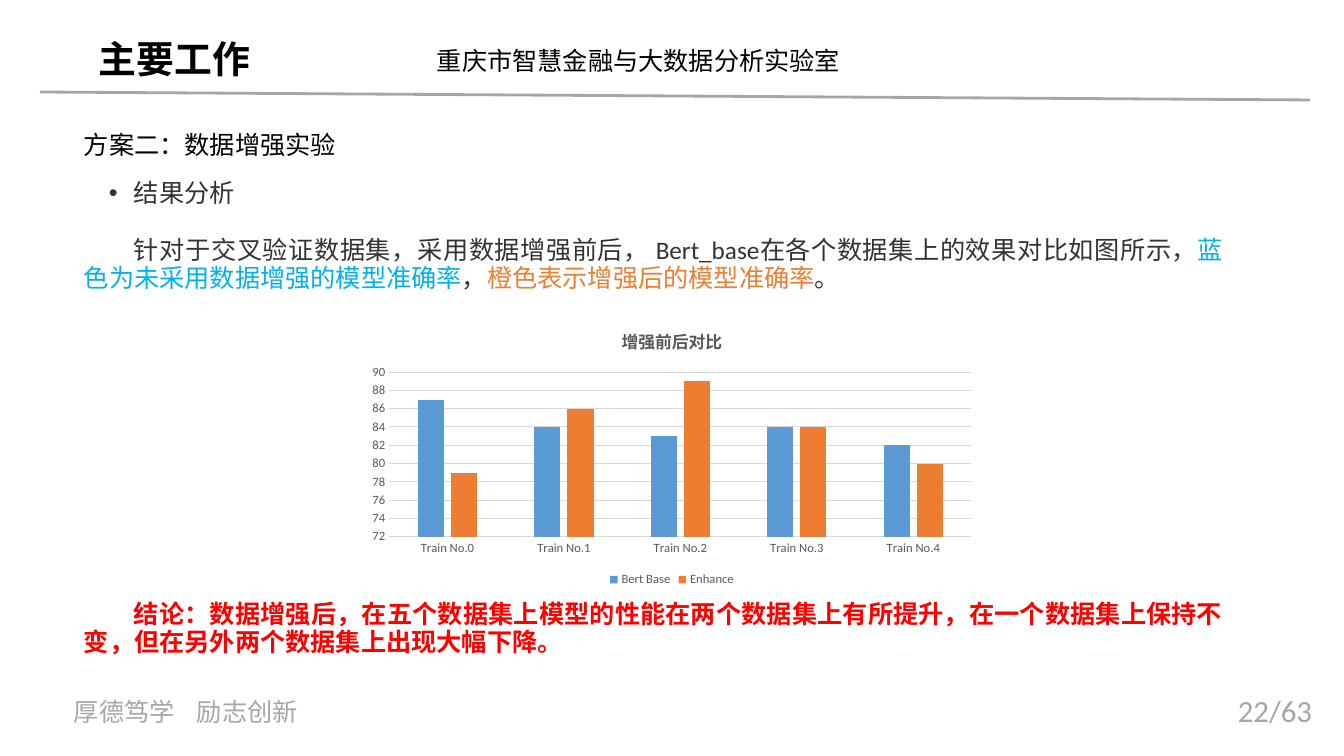
import pptx
import pptx.chart.data
import pptx.dml.color
import pptx.enum.chart
import pptx.enum.shapes
import pptx.enum.text
import pptx.oxml
import pptx.oxml.ns
import pptx.util

EMU_PER_PX = 914400 / 100.8
LATIN, CJK = "Calibri", "Noto Sans CJK SC"
BLACK, DARK, GREY, LABEL, RULE = "000000", "333333", "A6A6A6", "595959", "D9D9D9"
SKY, BLUE, ORANGE, RED = "00B0F0", "5B9BD5", "ED7D31", "FF0000"


def px(length):
    return pptx.util.Emu(round(length * EMU_PER_PX))


def color(value):
    return pptx.dml.color.RGBColor.from_string(value)


def set_font(font, size, value, name=LATIN, bold=False):
    font.size, font.name, font.bold = pptx.util.Pt(size), name, bold
    font.color.rgb = color(value)


def add_xml(parent, tag, content="", attributes=""):
    namespace = pptx.oxml.ns.nsdecls("a")
    parent.append(pptx.oxml.parse_xml(f"<a:{tag} {namespace} {attributes}>{content}</a:{tag}>"))


def add_box(page, left, top, width, height, wrap=True):
    frame = page.shapes.add_textbox(px(left), px(top), px(width), px(height)).text_frame
    frame.word_wrap = wrap
    return frame


def add_label(page, area, text, size, value, name=LATIN, bold=False, wrap=True):
    para = add_box(page, *area, wrap=wrap).paragraphs[0]
    para.text = text
    set_font(para.font, size, value, name, bold)
    return para


def add_header(page, left, top, width, height):
    add_label(page, (left + 49, top, 173, 56), "主要工作", 27, BLACK, CJK, True, wrap=False)
    add_label(page, (left + 387, top + 9, 432, 40), "重庆市智慧金融与大数据分析实验室", 18, BLACK)
    rule = page.shapes.add_connector(
        pptx.enum.shapes.MSO_CONNECTOR.STRAIGHT,
        px(left), px(top + height - 8), px(left + width), px(top + height))
    rule.line.color.rgb = color(GREY)
    rule.line.width = pptx.util.Pt(2)
    add_xml(rule._element.spPr, "effectLst")


def add_body(page, left, top, width, height):
    frame = add_box(page, left, top, width, height)

    def add_para(spans, before, spacing, margin, indent, name=LATIN, bold=False):
        first = not frame.paragraphs[0].runs
        para = frame.paragraphs[0] if first else frame.add_paragraph()
        para.alignment = pptx.enum.text.PP_ALIGN.JUSTIFY
        para.space_before = pptx.util.Pt(before)
        para.line_spacing = spacing
        properties = para._p.get_or_add_pPr()
        properties.set("marL", str(px(margin)))
        properties.set("indent", str(px(indent)))
        para.font.size, para.font.name = pptx.util.Pt(18), name
        para.font.bold = bold
        for text, value in spans:
            span = para.add_run()
            span.text = text
            span.font.color.rgb = color(value)
        return para

    fixed = pptx.util.Pt(20)
    add_para([("方案二：数据增强实验", BLACK)], 0, 0.9, 0, 0)
    # Bulleted subheading
    bullet = add_para([("结果分析", DARK)], 15, 0.9, 50, -25, CJK)
    properties = bullet._p.get_or_add_pPr()
    bullet_font = pptx.oxml.parse_xml(
        f'<a:buFont {pptx.oxml.ns.nsdecls("a")} typeface="Arial"/>')
    bullet_char = pptx.oxml.parse_xml(
        f'<a:buChar {pptx.oxml.ns.nsdecls("a")} char="•"/>')
    properties.find(pptx.oxml.ns.qn("a:defRPr")).addprevious(bullet_font)
    bullet_font.addnext(bullet_char)
    # Explanation, then the conclusion below the chart
    add_para([("针对于交叉验证数据集，采用数据增强前后， Bert_base在各个数据集上的效果对比如图所示，", DARK),
              ("蓝色为未采用数据增强的模型准确率", SKY), ("，", DARK),
              ("橙色表示增强后的模型准确率", ORANGE), ("。", DARK)], 20, fixed, 0, 50)
    add_para([("结论：数据增强后，在五个数据集上模型的性能在两个数据集上有所提升，"
               "在一个数据集上保持不变，但在另外两个数据集上出现大幅下降。", RED)],
             220, fixed, 0, 50, bold=True)


def add_comparison_chart(page, left, top, width, height):
    data = pptx.chart.data.CategoryChartData()
    data.categories = [f"Train No.{number}" for number in range(5)]
    data.add_series("Bert Base", (87, 84, 83, 84, 82))
    data.add_series("Enhance", (79, 86, 89, 84, 80))
    chart = page.shapes.add_chart(
        pptx.enum.chart.XL_CHART_TYPE.COLUMN_CLUSTERED,
        px(left), px(top), px(width), px(height), data).chart
    set_font(chart.font, 10, BLACK)

    title = chart.chart_title.text_frame.paragraphs[0]
    title.text = "增强前后对比"
    set_font(title.font, 12, LABEL, CJK, True)

    chart.has_legend = True
    chart.legend.position = pptx.enum.chart.XL_LEGEND_POSITION.BOTTOM
    chart.legend.include_in_layout = False
    set_font(chart.legend.font, 9, LABEL)

    # Axes and gridlines
    values = chart.value_axis
    values.minimum_scale, values.maximum_scale, values.major_unit = 72, 90, 2
    for axis in (chart.category_axis, values):
        axis.major_tick_mark = pptx.enum.chart.XL_TICK_MARK.NONE
        set_font(axis.tick_labels.font, 9, LABEL)
    values.format.line.fill.background()
    for line in (chart.category_axis.format.line, values.major_gridlines.format.line):
        line.color.rgb = color(RULE)
        line.width = pptx.util.Pt(0.75)

    plot = chart.plots[0]
    plot.vary_by_categories = False
    plot.gap_width, plot.overlap = 219, -27
    for series, value in zip(plot.series, (BLUE, ORANGE)):
        series.format.fill.solid()
        series.format.fill.fore_color.rgb = color(value)


def add_footer(page, left, top, width, height):
    motto = add_label(page, (left, top + 4, 301, 40), "厚德笃学\t励志创新", 18, GREY)
    tabs = pptx.oxml.parse_xml(
        f'<a:tabLst {pptx.oxml.ns.nsdecls("a")}><a:tab pos="{px(123)}" algn="l"/></a:tabLst>')
    motto._p.get_or_add_pPr().find(pptx.oxml.ns.qn("a:defRPr")).addprevious(tabs)
    add_label(page, (left + width - 116, top, 116, height), "22/63", 22, GREY)


def main():
    deck = pptx.Presentation()
    deck.slide_width, deck.slide_height = px(1344), px(756)
    page = deck.slides.add_slide(deck.slide_layouts[6])
    add_body(page, 74, 128, 1159, 552)
    add_header(page, 40, 31, 1270, 69)
    add_footer(page, 64, 687, 1280, 47)
    add_comparison_chart(page, 360, 313, 624, 278)
    deck.save("out.pptx")


if __name__ == "__main__":
    main()
